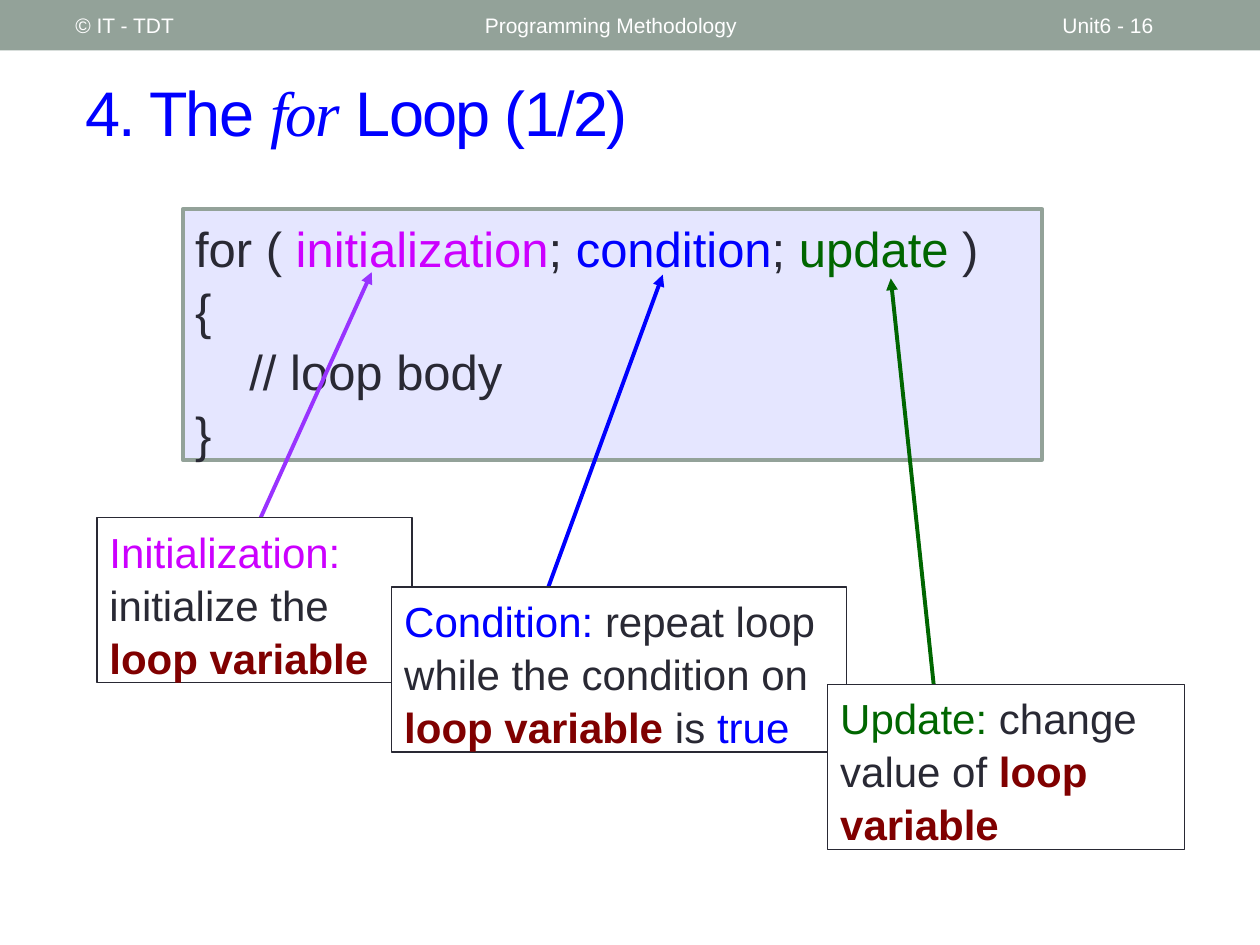
from lxml.etree import SubElement
from pptx import Presentation
from pptx.dml.color import RGBColor
from pptx.enum.shapes import MSO_CONNECTOR, MSO_SHAPE
from pptx.enum.text import MSO_ANCHOR, MSO_AUTO_SIZE, PP_ALIGN
from pptx.oxml.ns import qn
from pptx.util import Pt

COLORS = {
    "white": "FFFFFF",
    "band": "93A299",
    "code": "E5E6FF",
    "dark": "292934",
    "blue": "0000FF",
    "magenta": "CC00FF",
    "purple": "9933FF",
    "green": "006600",
    "maroon": "800000",
}
FRAME_FORMAT = {"word_wrap": True, "auto_size": MSO_AUTO_SIZE.NONE}
PARAGRAPH_FORMAT = {"alignment": PP_ALIGN.LEFT, "space_before": Pt(0), "space_after": Pt(0)}


def write_text(shape, paragraphs, size, anchor, line_spacing=1.0):
    frame = shape.text_frame
    for name, value in {**FRAME_FORMAT, "vertical_anchor": anchor}.items():
        setattr(frame, name, value)
    for index, runs in enumerate(paragraphs):
        paragraph = frame.add_paragraph() if index else frame.paragraphs[0]
        for name, value in {**PARAGRAPH_FORMAT, "line_spacing": line_spacing}.items():
            setattr(paragraph, name, value)
        for text, color, *changes in runs:
            run = paragraph.add_run()
            run.text = text
            run.font.color.rgb = RGBColor.from_string(COLORS[color])
            font_format = {"name": "Arial", "size": Pt(size)}
            for change in changes:
                font_format.update(change)
            for name, value in font_format.items():
                setattr(run.font, name, value)


def add_box(slide, place, fill, line=None, width=0):
    shape = slide.shapes.add_shape(MSO_SHAPE.RECTANGLE, *map(Pt, place))
    shape.shadow.inherit = False
    shape.fill.solid()
    shape.fill.fore_color.rgb = RGBColor.from_string(COLORS[fill])
    if line:
        shape.line.color.rgb = RGBColor.from_string(COLORS[line])
        shape.line.width = Pt(width)
    else:
        shape.line.fill.background()
    return shape


presentation = Presentation()
presentation.slide_width = Pt(720)
presentation.slide_height = Pt(540)
slide = presentation.slides.add_slide(presentation.slide_layouts[6])

add_box(slide, (0, 0, 720, 28.8), "band")

title = slide.shapes.add_textbox(Pt(41.76), Pt(30.24), Pt(660), Pt(66.24))
title_runs = [
    ("4. The ", "blue"),
    ("for", "blue", {"name": "Times New Roman", "italic": True}),
    (" Loop (1/2)", "blue"),
]
write_text(title, [title_runs], 36, MSO_ANCHOR.MIDDLE)
for run in title.text_frame.paragraphs[0].runs:
    run.font._element.set("spc", "-100")

headers = [
    ("© IT - TDT", 36, 228),
    ("Programming Methodology", 270, 324),
    ("Unit6 - 16", 600, 84),
]
for text, left, width in headers:
    header = slide.shapes.add_textbox(Pt(left), Pt(1.44), Pt(width), Pt(26))
    write_text(header, [[(text, "white")]], 12, MSO_ANCHOR.MIDDLE)

code_lines = [
    [
        ("for ( ", "dark"),
        ("initialization", "magenta"),
        ("; ", "dark"),
        ("condition", "blue"),
        ("; ", "dark"),
        ("update", "green"),
        (" )", "dark"),
    ],
    [("{", "dark")],
    [("    // loop body", "dark")],
    [("}", "dark")],
]
code_box = add_box(slide, (104.4, 119.52, 491.04, 143.28), "code", "band", 2.08)
write_text(code_box, code_lines, 28, MSO_ANCHOR.TOP, 1.05)

bold = {"bold": True}
callouts = [
    {
        "place": (55.44, 295.92, 180, 94.32),
        "arrow": (147.6, 298.8, 212.4, 155.52),
        "color": "purple",
        "runs": [
            ("Initialization: ", "magenta"),
            ("initialize the ", "dark"),
            ("loop variable", "maroon", bold),
        ],
    },
    {
        "place": (223.92, 335.52, 259.92, 94.32),
        "arrow": (303.84, 361.44, 378.72, 156.96),
        "color": "blue",
        "runs": [
            ("Condition: ", "blue"),
            ("repeat loop while the condition on ", "dark"),
            ("loop variable ", "maroon", bold),
            ("is ", "dark"),
            ("true", "blue"),
        ],
    },
    {
        "place": (473.04, 390.96, 203.76, 94.32),
        "arrow": (533.52, 390.96, 509.04, 159.12),
        "color": "green",
        "runs": [
            ("Update: ", "green"),
            ("change value of ", "dark"),
            ("loop variable", "maroon", bold),
        ],
    },
]
for callout in callouts:
    arrow = slide.shapes.add_connector(MSO_CONNECTOR.STRAIGHT, *map(Pt, callout["arrow"]))
    arrow.line.color.rgb = RGBColor.from_string(COLORS[callout["color"]])
    arrow.line.width = Pt(2.25)
    SubElement(arrow.line._get_or_add_ln(), qn("a:tailEnd"), type="triangle")
    SubElement(arrow._element.spPr, qn("a:effectLst"))
    box = add_box(slide, callout["place"], "white", "dark", 0.75)
    write_text(box, [callout["runs"]], 24, MSO_ANCHOR.TOP, 1.05)

presentation.save("out.pptx")
